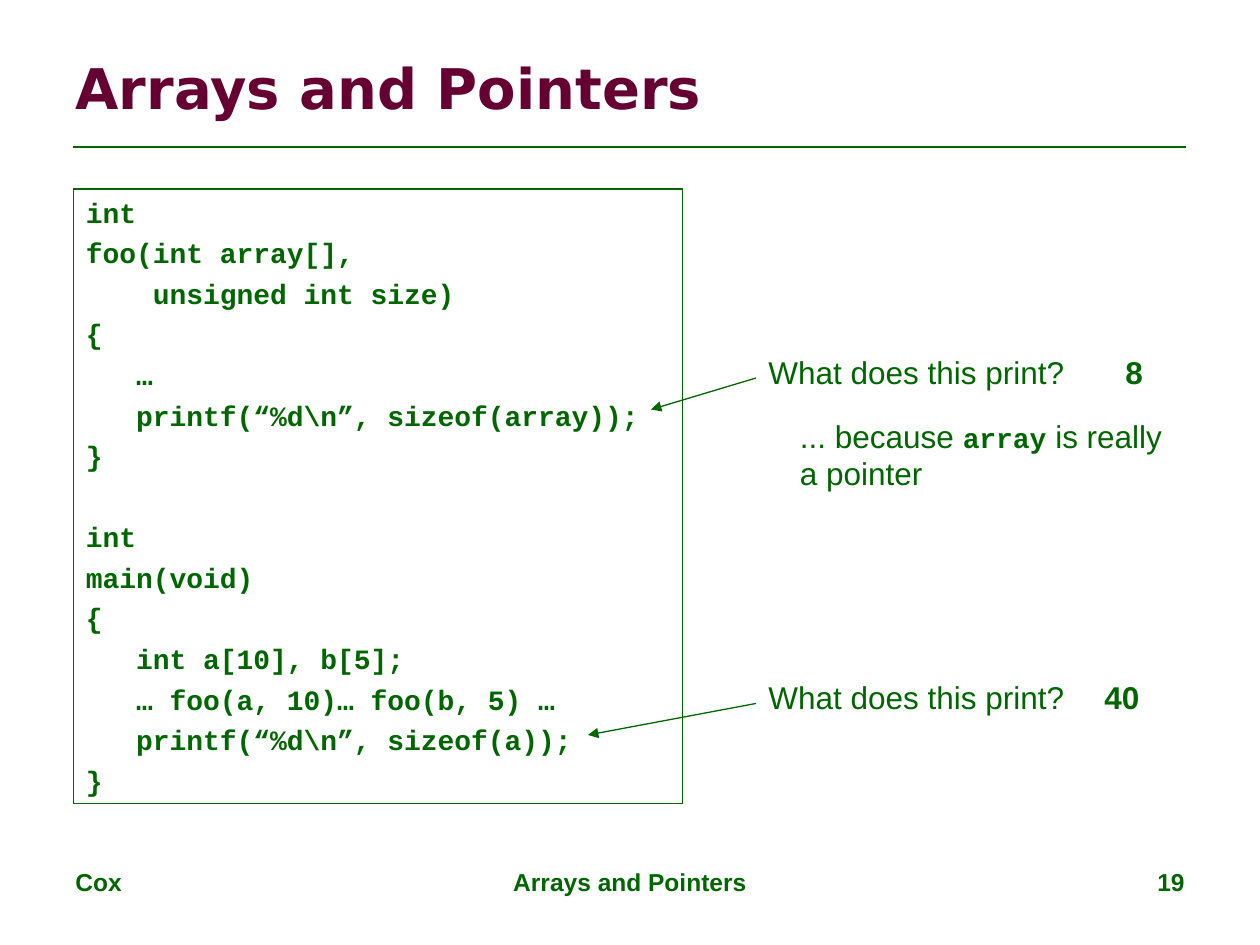
from dataclasses import dataclass

from lxml import etree
from pptx import Presentation
from pptx import util as u
from pptx.dml.color import RGBColor
from pptx.enum import shapes, text
from pptx.oxml.ns import qn

HUES = {"green": "006600", "wine": "660033"}
COLS, ROWS = 120, 90
WIDE, HIGH = u.Inches(10), u.Inches(7.5)
LEFT, MID, RIGHT = text.PP_ALIGN.LEFT, text.PP_ALIGN.CENTER, text.PP_ALIGN.RIGHT


@dataclass
class Box:
    col: float
    row: float
    cols: float
    rows: float


@dataclass
class Face:
    size: int
    name: str = "Arial"
    bold: bool = False
    hue: str = "green"


@dataclass
class Label:
    box: Box
    lines: list
    face: Face
    align: int = LEFT
    wrap: bool = False


@dataclass
class Line:
    start: tuple
    end: tuple
    width: float = 0.75
    head: bool = True


FOOT = Face(14, bold=True)
ASK = Face(18)
REPLY = Face(18, bold=True)
CODE = Face(16, "Courier New", True)
TITLE = Face(32, "DejaVu Sans", True, "wine")

PROGRAM = r"""int
foo(int array[],
    unsigned int size)
{
   …
   printf(“%d\n”, sizeof(array));
}

int
main(void)
{
   int a[10], b[5];
   … foo(a, 10)… foo(b, 5) …
   printf(“%d\n”, sizeof(a));
}"""

FOOTERS = [
    Label(Box(6, 82, 28, 6.2), ["Cox"], FOOT, LEFT, True),
    Label(Box(41, 82, 38, 6.2), ["Arrays and Pointers"], FOOT, MID, True),
    Label(Box(86, 82, 28, 6.2), ["19"], FOOT, RIGHT, True),
]
ASKS = [Label(Box(72, row, 30.6, 4.8), ["What does this print?"], ASK)
        for row in (33, 64)]
REPLIES = [
    Label(Box(106, 33, 4.1, 4.8), ["8"], REPLY),
    Label(Box(104, 64, 5.8, 4.8), ["40"], REPLY),
]
REASON = Label(Box(75, 39.1, 38, 8.4),
               [["... because ", ("array", CODE), " is really"], "a pointer"],
               ASK, LEFT, True)
RULE = Line((7, 14), (113, 14), 1.5, False)
ARROWS = [Line((72, 36), (62, 39)), Line((72, 67), (56, 70))]


def at_x(col: float) -> int:
    return round(WIDE * col / COLS)


def at_y(row: float) -> int:
    return round(HIGH * row / ROWS)


def frame(box: Box) -> tuple:
    return at_x(box.col), at_y(box.row), at_x(box.cols), at_y(box.rows)


def style(font, face: Face) -> None:
    font.size = u.Pt(face.size)
    font.name = face.name
    font.bold = face.bold
    font.color.rgb = RGBColor.from_string(HUES[face.hue])


def write(area, lines: list, face: Face, align: int = LEFT, gap: float = 0) -> None:
    for i, line in enumerate(lines):
        para = area.paragraphs[0] if i == 0 else area.add_paragraph()
        para.alignment = align
        para.space_before = u.Pt(gap if i else 0)
        style(para.font, face)
        for part in line if isinstance(line, list) else [line]:
            words, look = part if isinstance(part, tuple) else (part, face)
            if words:
                run = para.add_run()
                run.text = words
                style(run.font, look)


def add_label(slide, label: Label) -> None:
    area = slide.shapes.add_textbox(*frame(label.box)).text_frame
    area.word_wrap = label.wrap
    write(area, label.lines, label.face, label.align)


def add_line(slide, line: Line) -> None:
    link = slide.shapes.add_connector(
        shapes.MSO_CONNECTOR.STRAIGHT,
        at_x(line.start[0]), at_y(line.start[1]),
        at_x(line.end[0]), at_y(line.end[1]))
    link.line.color.rgb = RGBColor.from_string(HUES["green"])
    link.line.width = u.Pt(line.width)
    props = link._element.spPr
    if line.head:
        etree.SubElement(props.find(qn("a:ln")), qn("a:tailEnd"), type="triangle")
    etree.SubElement(props, qn("a:effectLst"))


def add_title(slide, words: str) -> None:
    title = slide.shapes.title
    title.left, title.top, title.width, title.height = frame(Box(6, 3.6, 108, 9.4))
    title.text_frame.vertical_anchor = text.MSO_ANCHOR.MIDDLE
    write(title.text_frame, [words], TITLE)


def add_code(slide, box: Box) -> None:
    panel = slide.shapes.add_shape(shapes.MSO_SHAPE.RECTANGLE, *frame(box))
    panel.shadow.inherit = False
    panel.fill.background()
    panel.line.color.rgb = RGBColor.from_string(HUES["green"])
    panel.line.width = u.Pt(0.75)
    area = panel.text_frame
    area.word_wrap = True
    area.vertical_anchor = text.MSO_ANCHOR.TOP
    write(area, PROGRAM.split("\n"), CODE, gap=4)


def main() -> None:
    deck = Presentation()
    deck.slide_width, deck.slide_height = WIDE, HIGH
    slide = deck.slides.add_slide(deck.slide_layouts[5])
    add_line(slide, RULE)
    add_title(slide, "Arrays and Pointers")
    add_code(slide, Box(7, 18, 58, 58.5))
    for arrow in ARROWS:
        add_line(slide, arrow)
    for label in [*FOOTERS, *ASKS, *REPLIES, REASON]:
        add_label(slide, label)
    deck.save("out.pptx")


if __name__ == "__main__":
    main()
